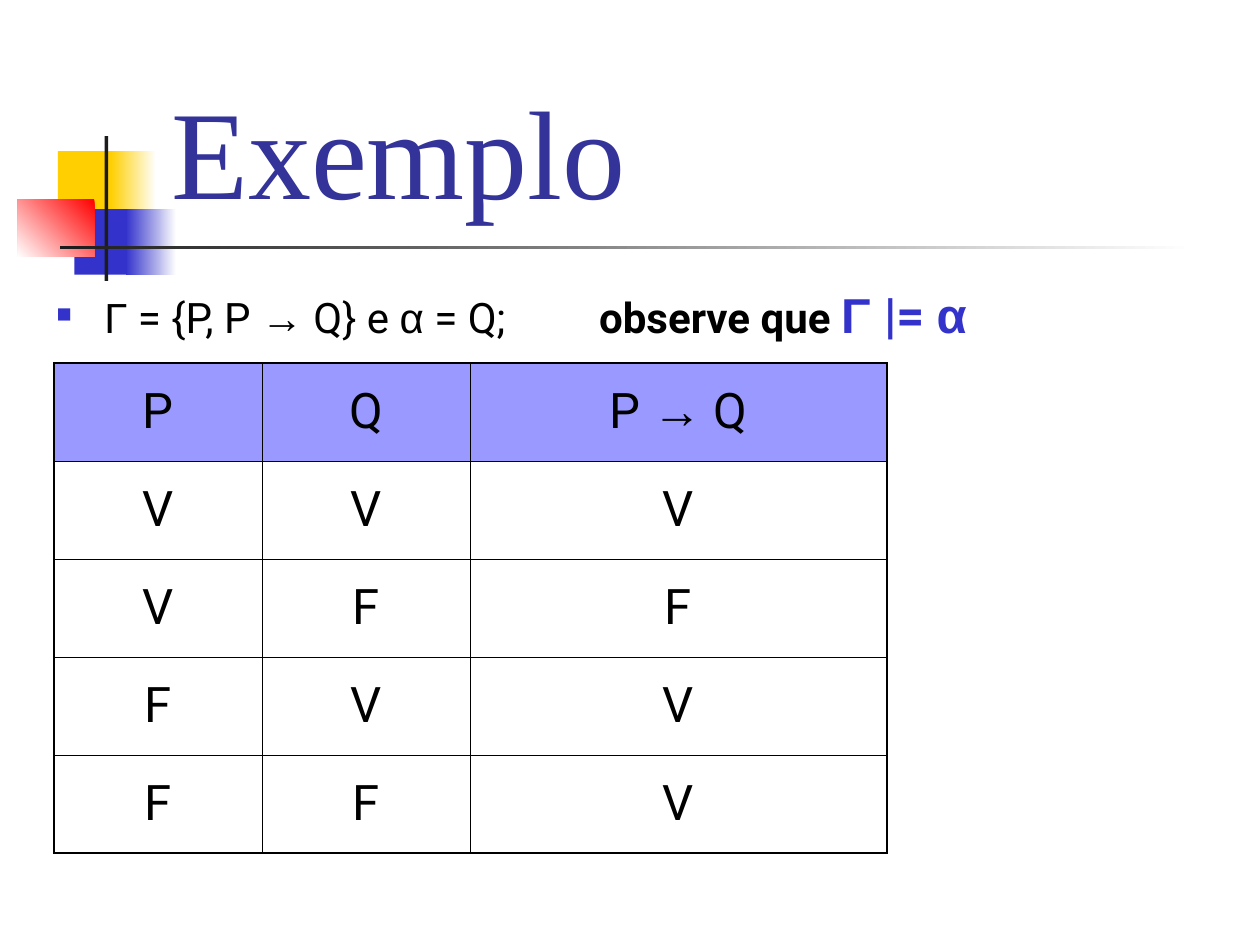
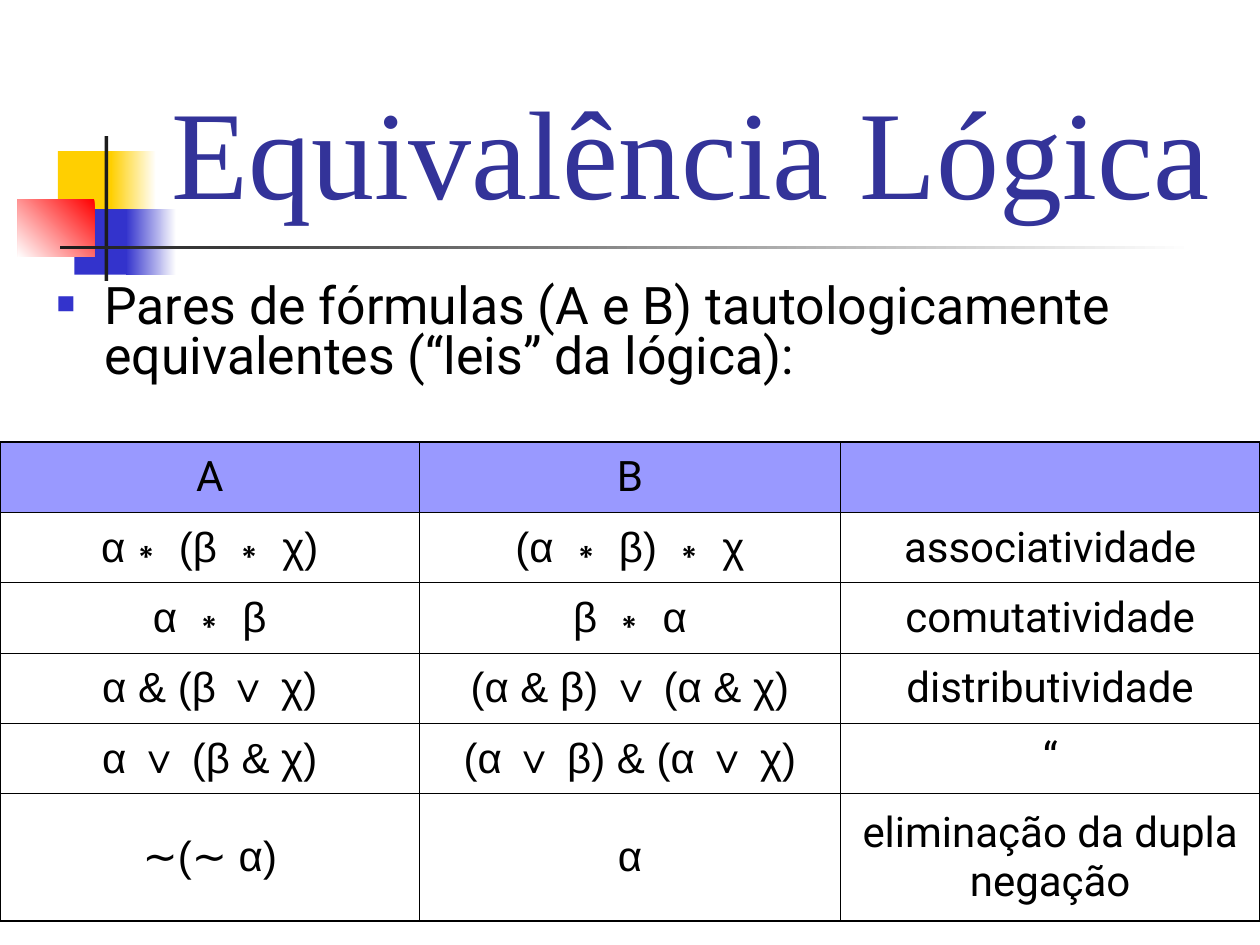
from dataclasses import dataclass, replace
from functools import partial

from lxml.etree import SubElement
from pptx import Presentation
from pptx.dml.color import RGBColor
from pptx.enum.shapes import MSO_SHAPE as Shape
from pptx.enum.text import MSO_ANCHOR as Anchor, PP_ALIGN as Align
from pptx.oxml.ns import qn
from pptx.util import Inches, Pt


@dataclass(frozen=True)
class Theme:
    """Colours, fonts and type sizes of both slides."""
    title: str = "333399"
    accent: str = "3333CC"
    yellow: str = "FFCF01"
    red: str = "FF0000"
    dark: str = "1C1C1C"
    white: str = "FFFFFF"
    ink: str = "000000"
    header: str = "9999FF"
    title_font: str = "Times New Roman"
    text_font: str = "Roboto"
    symbol_font: str = "Arial"
    title_size: float = 72
    lead_size: float = 29.6
    large: float = 28
    medium: float = 24
    outer_rule: float = 1.08
    inner_rule: float = 0.45


THEME = Theme()
COLUMNS, ROWS = 100, 75
SLIDE_WIDTH, SLIDE_HEIGHT = Inches(10), Inches(7.5)


def across(columns):
    """Turn grid columns into a length."""
    return round(SLIDE_WIDTH * columns / COLUMNS)


def down(rows):
    """Turn grid rows into a length."""
    return round(SLIDE_HEIGHT * rows / ROWS)


@dataclass(frozen=True)
class Box:
    """A region measured in grid columns and rows."""
    left: float
    top: float
    width: float
    height: float

    def inner(self, left, top, width, height):
        """Return a region placed relative to this one."""
        return Box(self.left + left, self.top + top, width, height)

    def lengths(self):
        """Return left, top, width and height as lengths."""
        return across(self.left), down(self.top), across(self.width), down(self.height)


@dataclass(frozen=True)
class Run:
    """A stretch of text in one style."""
    text: str
    font: str = THEME.text_font
    size: float = THEME.medium
    color: str = THEME.ink
    bold: bool = False
    tracking: float = 0


Symbol = partial(Run, font=THEME.symbol_font)
Claim = partial(Run, size=THEME.large, color=THEME.accent, bold=True)

MOTIF = Box(1.4, 10.8, 93.4, 11.5)
TITLE = Box(12.6, 2.3, 85.2, 16)


def add_runs(paragraph, runs):
    """Write styled runs into a paragraph."""
    for part in runs:
        run = paragraph.add_run()
        run.text = part.text
        run.font.name = part.font
        run.font.size = Pt(part.size)
        run.font.bold = part.bold
        run.font.color.rgb = RGBColor.from_string(part.color)
        if part.tracking:
            run.font._element.set("spc", str(round(part.tracking * 100)))


def add_text(slide, box, runs, anchor=Anchor.TOP):
    """Place a wrapped text and return its paragraph."""
    frame = slide.shapes.add_textbox(*box.lengths()).text_frame
    frame.word_wrap = True
    frame.vertical_anchor = anchor
    paragraph = frame.paragraphs[0]
    add_runs(paragraph, runs)
    return paragraph


def add_block(slide, box, colors, angle):
    """Draw a borderless block, plain or fading between two colours."""
    block = slide.shapes.add_shape(Shape.RECTANGLE, *box.lengths())
    block.shadow.inherit = False
    block.line.fill.background()
    if len(colors) == 1:
        block.fill.solid()
        block.fill.fore_color.rgb = RGBColor.from_string(colors[0])
        return
    block.fill.gradient()
    block.fill.gradient_angle = angle
    for stop, color in zip(block.fill.gradient_stops, colors):
        stop.color.rgb = RGBColor.from_string(color)


def add_motif(slide, box):
    """Draw the coloured squares and the crossing rules."""
    t = THEME
    for place, colors, angle in (
        ((3.2, 1.2, 4.8, 5.2), (t.yellow,), 0),
        ((7.4, 1.2, 3.6, 5.2), (t.white, t.yellow), 180),
        ((4.5, 5.8, 4.6, 5.2), (t.accent,), 0),
        ((8.6, 5.8, 4, 5.2), (t.white, t.accent), 180),
        ((0, 5, 6.1, 4.6), (t.red, t.white), 225),
        ((6.9, 0, 0.3, 11.5), (t.dark,), 0),
        ((3.4, 8.7, 90, 0.3), (t.white, t.dark), 180),
    ):
        add_block(slide, box.inner(*place), colors, angle)


def add_bullet(slide, box, runs, before, spacing=1.0):
    """Place a paragraph with a hanging square bullet."""
    paragraph = add_text(slide, box, runs)
    paragraph.space_before = Pt(before)
    paragraph.line_spacing = spacing
    properties = paragraph._p.get_or_add_pPr()
    properties.set("marL", str(across(3.8)))
    properties.set("indent", str(-across(3.8)))
    color = SubElement(properties, qn("a:buClr"))
    SubElement(color, qn("a:srgbClr"), val=THEME.accent)
    SubElement(properties, qn("a:buSzPct"), val="60000")
    SubElement(properties, qn("a:buFont"), typeface=THEME.symbol_font)
    SubElement(properties, qn("a:buChar"), char="■")


def rule_cell(cell, outer_sides):
    """Rule the four sides of a cell, heavier on the table's edge."""
    properties = cell._tc.get_or_add_tcPr()
    for position, side in enumerate("LRTB"):
        weight = THEME.outer_rule if side in outer_sides else THEME.inner_rule
        line = SubElement(properties, qn(f"a:ln{side}"), w=str(Pt(weight)))
        fill = SubElement(line, qn("a:solidFill"))
        SubElement(fill, qn("a:srgbClr"), val=THEME.ink)
        properties.insert(position, line)


def add_grid(slide, box, widths, heights, rows, before):
    """Place a ruled table with a tinted header row."""
    table = slide.shapes.add_table(len(heights), len(widths), *box.lengths()).table
    table.horz_banding = False
    for column, width in zip(table.columns, widths):
        column.width = across(width)
    for row, height in zip(table.rows, heights):
        row.height = down(height)
    for r, row in enumerate(rows):
        for c, runs in enumerate(row):
            cell = table.cell(r, c)
            cell.vertical_anchor = Anchor.MIDDLE
            if r == 0:
                cell.fill.solid()
                cell.fill.fore_color.rgb = RGBColor.from_string(THEME.header)
            else:
                cell.fill.background()
            edges = {"L": c == 0, "R": c == len(widths) - 1,
                     "T": r == 0, "B": r == len(heights) - 1}
            rule_cell(cell, [side for side, outer in edges.items() if outer])
            paragraph = cell.text_frame.paragraphs[0]
            paragraph.alignment = Align.CENTER
            paragraph.space_before = Pt(before)
            add_runs(paragraph, runs)


def start_slide(deck, title):
    """Add a blank slide with the shared motif and title."""
    slide = deck.slides.add_slide(deck.slide_layouts[6])
    add_motif(slide, MOTIF)
    heading = Run(title, THEME.title_font, THEME.title_size, THEME.title)
    add_text(slide, TITLE, [heading], Anchor.BOTTOM)
    return slide


def build_example(deck):
    """Show the truth table of the implication."""
    slide = start_slide(deck, "Exemplo")
    premises = [
        Symbol("Γ"), Run(" = {P, P "), Symbol("→"), Run(" Q} e "), Symbol("α"),
        Run(" = Q;"), Run(" ", tracking=47.5), Run("observe que ", bold=True),
        Claim("Γ ", font=THEME.symbol_font), Claim("|= "),
        Claim("α", font=THEME.symbol_font),
    ]
    add_bullet(slide, Box(3.5, 22.1, 88.2, 8.4), premises, before=7)
    header = [[Run("P")], [Run("Q")], [Run("P "), Symbol("→"), Run(" Q")]]
    values = [[[Run(value)] for value in line] for line in ("VVV", "VFF", "FVV", "FFV")]
    rows = [[[replace(run, size=THEME.large) for run in runs] for runs in row]
            for row in [header, *values]]
    add_grid(slide, Box(4.3, 28.8, 66.1, 38.9), (16.5, 16.5, 33.1),
             [7.78] * len(rows), rows, before=7)


def build_equivalence(deck):
    """List the laws of logical equivalence."""
    slide = start_slide(deck, "Equivalência Lógica")
    lead = Run("Pares de fórmulas (A e B) tautologicamente equivalentes "
               "(“leis” da lógica):", size=THEME.lead_size)
    add_bullet(slide, Box(3.5, 22.1, 94.5, 9.9), [lead], before=8, spacing=0.8)
    laws = (
        ("α∗ (β ∗ χ)", "(α ∗ β) ∗ χ", "associatividade"),
        ("α ∗ β", "β ∗ α", "comutatividade"),
        ("α & (β ∨ χ)", "(α & β) ∨ (α & χ)", "distributividade"),
        ("α ∨ (β & χ)", "(α ∨ β) & (α ∨ χ)", "“"),
        ("∼(∼ α)", "α", "eliminação da dupla negação"),
    )
    rows = [[[Run("A")], [Run("B")], []]]
    rows += [[[Symbol(a)], [Symbol(b)], [Run(law)]] for a, b, law in laws]
    add_grid(slide, Box(0, 35.1, 100, 38.1), (33.3, 33.4, 33.3),
             [5.58] * len(laws) + [10.1], rows, before=6)


def main():
    """Build and save the two slides."""
    deck = Presentation()
    deck.slide_width, deck.slide_height = SLIDE_WIDTH, SLIDE_HEIGHT
    build_example(deck)
    build_equivalence(deck)
    deck.save("out.pptx")


if __name__ == "__main__":
    main()
